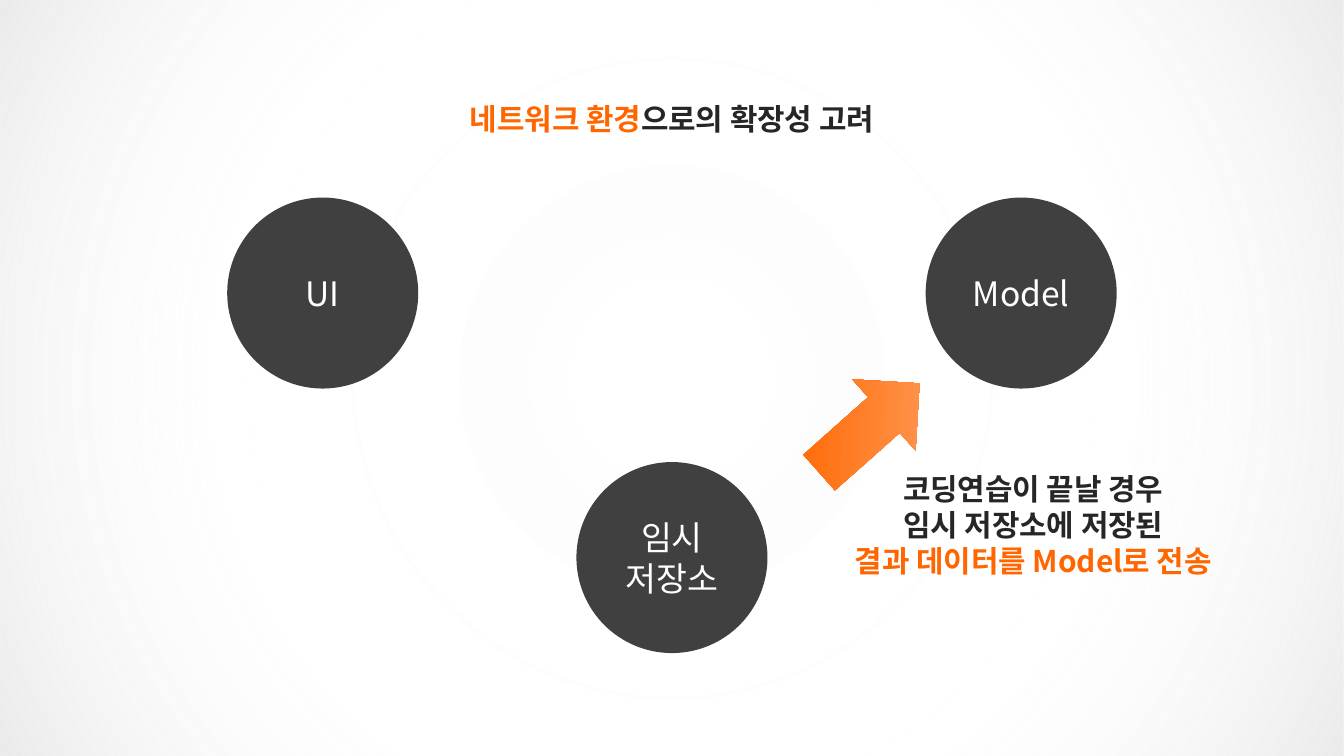
import pptx
import pptx.dml.color
import pptx.enum.shapes
import pptx.enum.text
import pptx.oxml
import pptx.oxml.ns
import pptx.util
from pptx.util import Cm

FONT = "Noto Sans CJK KR"
COLORS = {
    "white": "FFFFFF",
    "node": "404040",
    "ink": "262626",
    "accent": "FF6600",
    "accent_light": "FF9D5C",
}
SLIDE_W, SLIDE_H = 25.4, 14.29

# Positions are centres in cm; each line is a list of (text, colour) runs.
NODE_SIZE = 3.61
NODES = [
    (12.7, 10.54, ["임시", "저장소"]),
    (6.1, 5.54, ["UI"]),
    (19.3, 5.54, ["Model"]),
]
ARROW = {"centre": (16.43, 8.09), "size": (2.54, 1.8), "rotation": 318.4}
CAPTION_SIZE = (9.4, 2.2)
CAPTIONS = [
    (19.53, 9.92, [
        [("코딩연습이 끝날 경우", "ink")],
        [("임시 저장소에 저장된", "ink")],
        [("결과 데이터를 Model로 전송", "accent")],
    ]),
    (12.7, 2.25, [[("네트워크 환경", "accent"), ("으로의 확장성 고려", "ink")]]),
]
# (position, colour, opacity), both numbers in percent
VIGNETTE = [(0, "FFFFFF", 100), (55, "FDFDFD", 0), (100, "D9D9D9", 54)]


def rgb(name):
    return pptx.dml.color.RGBColor.from_string(COLORS[name])


def box_around(x, y, width, height):
    return Cm(x - width / 2), Cm(y - height / 2), Cm(width), Cm(height)


def add_shape(slide, kind, box):
    shape = slide.shapes.add_shape(kind, *box)
    shape.shadow.inherit = False
    shape.line.fill.background()
    return shape


def write_text(frame, lines, size, bold=False, inset=None):
    frame.word_wrap = True
    frame.vertical_anchor = pptx.enum.text.MSO_ANCHOR.MIDDLE
    if inset is not None:
        frame.margin_left = frame.margin_right = inset
        frame.margin_top = frame.margin_bottom = inset
    for index, line in enumerate(lines):
        paragraph = frame.paragraphs[0] if index == 0 else frame.add_paragraph()
        paragraph.alignment = pptx.enum.text.PP_ALIGN.CENTER
        for text, color in line:
            run = paragraph.add_run()
            run.text = text
            run.font.size = pptx.util.Pt(size)
            run.font.bold = bold
            run.font.name = FONT
            run.font.color.rgb = rgb(color)
            latin = run.font._element.find(pptx.oxml.ns.qn("a:latin"))
            east_asian = latin.makeelement(pptx.oxml.ns.qn("a:ea"), {"typeface": FONT})
            latin.addnext(east_asian)


def fill_radial(shape, stops):
    shape.fill.gradient()
    linear = shape._element.spPr.find(pptx.oxml.ns.qn("a:gradFill"))
    stop_xml = "".join(
        f'<a:gs pos="{position * 1000}"><a:srgbClr val="{color}">'
        f'<a:alpha val="{opacity * 1000}"/></a:srgbClr></a:gs>'
        for position, color, opacity in stops
    )
    radial = pptx.oxml.parse_xml(
        f'<a:gradFill {pptx.oxml.ns.nsdecls("a")} rotWithShape="1">'
        f'<a:gsLst>{stop_xml}</a:gsLst><a:path path="circle">'
        '<a:fillToRect l="50000" t="50000" r="50000" b="50000"/>'
        "</a:path></a:gradFill>"
    )
    linear.getparent().replace(linear, radial)


def main():
    presentation = pptx.Presentation()
    presentation.slide_width, presentation.slide_height = Cm(SLIDE_W), Cm(SLIDE_H)
    slide = presentation.slides.add_slide(presentation.slide_layouts[6])
    kinds = pptx.enum.shapes.MSO_SHAPE

    backdrop = add_shape(slide, kinds.RECTANGLE, (0, 0, Cm(SLIDE_W), Cm(SLIDE_H)))
    fill_radial(backdrop, VIGNETTE)

    for x, y, labels in NODES:
        node = add_shape(slide, kinds.OVAL, box_around(x, y, NODE_SIZE, NODE_SIZE))
        node.fill.solid()
        node.fill.fore_color.rgb = rgb("node")
        lines = [[(label, "white")] for label in labels]
        write_text(node.text_frame, lines, size=18, inset=0)

    arrow = add_shape(slide, kinds.RIGHT_ARROW, box_around(*ARROW["centre"], *ARROW["size"]))
    arrow.rotation = ARROW["rotation"]
    arrow.fill.gradient()
    arrow.fill.gradient_angle = 315
    for stop, color in zip(arrow.fill.gradient_stops, ("accent", "accent_light")):
        stop.color.rgb = rgb(color)

    for x, y, lines in CAPTIONS:
        caption = slide.shapes.add_textbox(*box_around(x, y, *CAPTION_SIZE))
        write_text(caption.text_frame, lines, size=16, bold=True)

    presentation.save("out.pptx")


if __name__ == "__main__":
    main()
